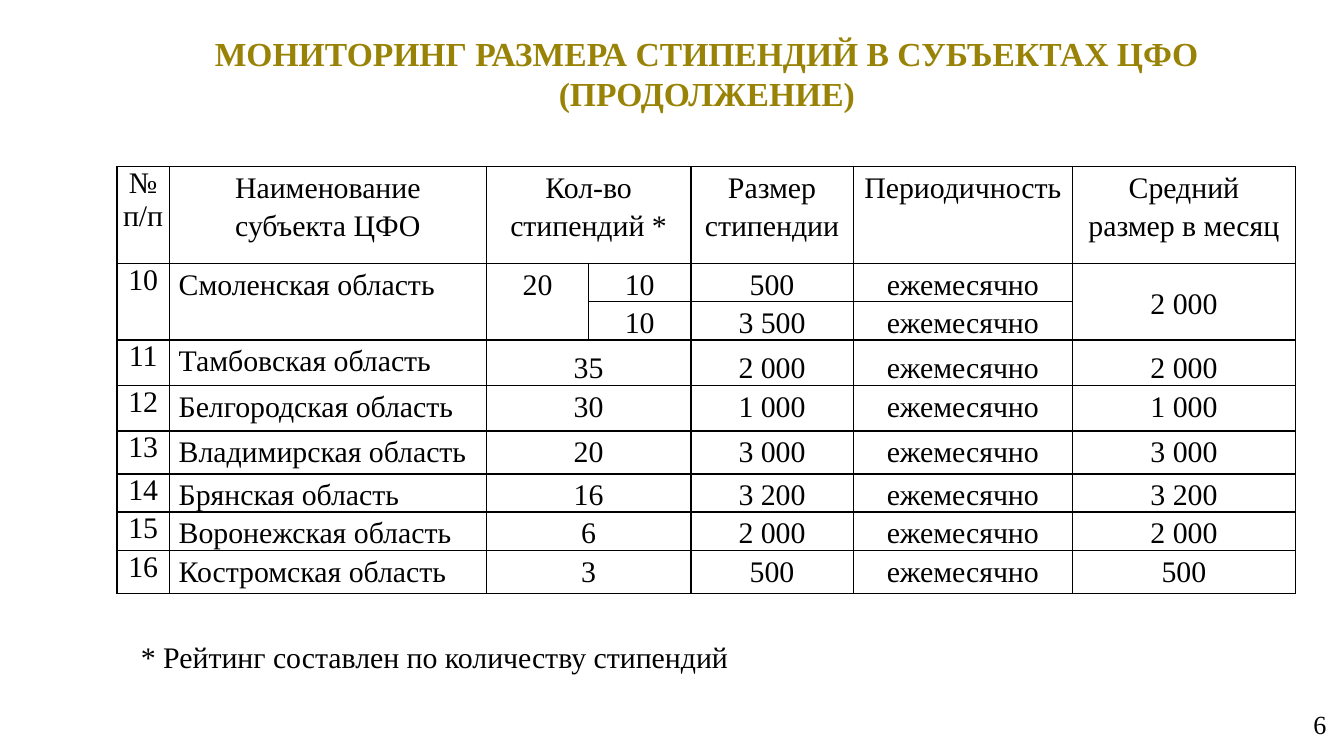
from lxml import etree
from pptx import Presentation
from pptx import util as u
from pptx.dml.color import RGBColor
from pptx.enum import text
from pptx.oxml.ns import qn

ALIGN, ANCHOR = text.PP_ALIGN, text.MSO_ANCHOR
COLUMN_WIDTHS = [0.39, 2.36, 0.76, 0.76, 1.21, 1.63, 1.66]
ROW_HEIGHTS = [0.72, 0.28, 0.28, 0.34, 0.34, 0.32, 0.28, 0.28, 0.32]
MONTHLY = "ежемесячно"
HEADINGS = ["№ п/п", "Наименование субъекта ЦФО", "Кол-во стипендий *", "",
            "Размер стипендии", "Периодичность", "Средний размер в месяц"]
SMOLENSK = [
    ["10", "Смоленская область", "20", "10", "500", MONTHLY, "2 000"],
    ["", "", "", "10", "3 500", MONTHLY, ""],
]
REGIONS = [
    ("Тамбовская", "35", "2 000"),
    ("Белгородская", "30", "1 000"),
    ("Владимирская", "20", "3 000"),
    ("Брянская", "16", "3 200"),
    ("Воронежская", "6", "2 000"),
    ("Костромская", "3", "500"),
]


def color(hex_string):
    """Turn a hex string into a colour."""
    return RGBColor.from_string(hex_string)


def style(paragraph, size, align, hex_string="000000", bold=False):
    """Format a paragraph and its runs."""
    paragraph.alignment = align
    for run in paragraph.runs:
        run.font.name = "Times New Roman"
        run.font.size = u.Pt(size)
        run.font.bold = bold
        run.font.color.rgb = color(hex_string)


def set_insets(frame, horizontal, vertical):
    """Set the insets of a text frame or a cell."""
    frame.margin_left = frame.margin_right = u.Inches(horizontal)
    frame.margin_top = frame.margin_bottom = u.Inches(vertical)


def add_borders(cell):
    """Draw a thin black line on each side of a cell."""
    properties = cell._tc.get_or_add_tcPr()
    for position, side in enumerate(("a:lnL", "a:lnR", "a:lnT", "a:lnB")):
        line = etree.Element(qn(side), w=str(u.Pt(1)))
        fill = etree.SubElement(line, qn("a:solidFill"))
        etree.SubElement(fill, qn("a:srgbClr"), val="000000")
        properties.insert(position, line)


def place_title(slide, left, top, width, height):
    """Place the slide heading."""
    title = slide.shapes.title
    title.left, title.top = u.Inches(left), u.Inches(top)
    title.width, title.height = u.Inches(width), u.Inches(height)
    frame = title.text_frame
    frame.text = "МОНИТОРИНГ РАЗМЕРА СТИПЕНДИЙ В СУБЪЕКТАХ ЦФО (ПРОДОЛЖЕНИЕ)"
    frame.word_wrap = True
    frame.auto_size = text.MSO_AUTO_SIZE.NONE
    frame.vertical_anchor = ANCHOR.MIDDLE
    set_insets(frame, 0.07, 0.04)
    style(frame.paragraphs[0], 18, ALIGN.CENTER, "998307", True)


def place_note(slide, left, top, width, height, wording, size, align, insets):
    """Place a line of text and return its paragraph."""
    note = slide.shapes.add_textbox(*map(u.Inches, (left, top, width, height)))
    frame = note.text_frame
    frame.text = wording
    frame.word_wrap = True
    set_insets(frame, *insets)
    style(frame.paragraphs[0], size, align)
    return frame.paragraphs[0]


def fill_cell(cell, wording, row, column):
    """Write and format one cell of the scholarship table."""
    cell.text = wording
    cell.fill.background()
    set_insets(cell, 0.07 if column else 0.04, 0)
    paragraph = cell.text_frame.paragraphs[0]
    style(paragraph, 16, ALIGN.JUSTIFY if row and column == 1 else ALIGN.CENTER)
    if column:
        paragraph.line_spacing = 1.15
        paragraph.space_after = u.Pt(10)
    if row == 3 and column > 1:
        cell.vertical_anchor = ANCHOR.BOTTOM
    add_borders(cell)


def place_scholarships(slide, left, top, width, height):
    """Place the table of scholarships by region."""
    rows = [HEADINGS, *SMOLENSK]
    for number, (region, count, amount) in enumerate(REGIONS, 11):
        rows.append([str(number), f"{region} область", count, "", amount, MONTHLY, amount])
    table = slide.shapes.add_table(
        len(rows), len(HEADINGS), *map(u.Inches, (left, top, width, height))).table
    table.first_row = table.horz_banding = False
    for column, share in zip(table.columns, COLUMN_WIDTHS):
        column.width = u.Inches(width * share / sum(COLUMN_WIDTHS))
    for row, share in zip(table.rows, ROW_HEIGHTS):
        row.height = u.Inches(height * share / sum(ROW_HEIGHTS))
    for r, wordings in enumerate(rows):
        for c, wording in enumerate(wordings):
            fill_cell(table.cell(r, c), wording, r, c)
    for r in (0, *range(3, len(rows))):
        table.cell(r, 2).merge(table.cell(r, 3))
    for c in (0, 1, 2, 6):
        table.cell(1, c).merge(table.cell(2, c))
    table.cell(1, 6).vertical_anchor = ANCHOR.MIDDLE


def main():
    """Build and save the slide."""
    deck = Presentation()
    deck.slide_width = u.Inches(10)
    deck.slide_height = deck.slide_width * 9 // 16
    slide = deck.slides.add_slide(deck.slide_layouts[5])
    slide.background.fill.solid()
    slide.background.fill.fore_color.rgb = color("FFFFFF")
    place_title(slide, 1.02, 0.34, 8.48, 0.41)
    place_scholarships(slide, 0.87, 1.24, 8.77, 3.16)
    footnote = place_note(slide, 0.95, 4.73, 8.08, 0.44,
                          "* Рейтинг составлен по количеству стипендий",
                          16, ALIGN.JUSTIFY, (0.1, 0.05))
    footnote.line_spacing = 0.9
    place_note(slide, 9.61, 5.23, 0.33, 0.39, "6", 14, ALIGN.RIGHT, (0.07, 0.04))
    deck.save("out.pptx")


if __name__ == "__main__":
    main()
